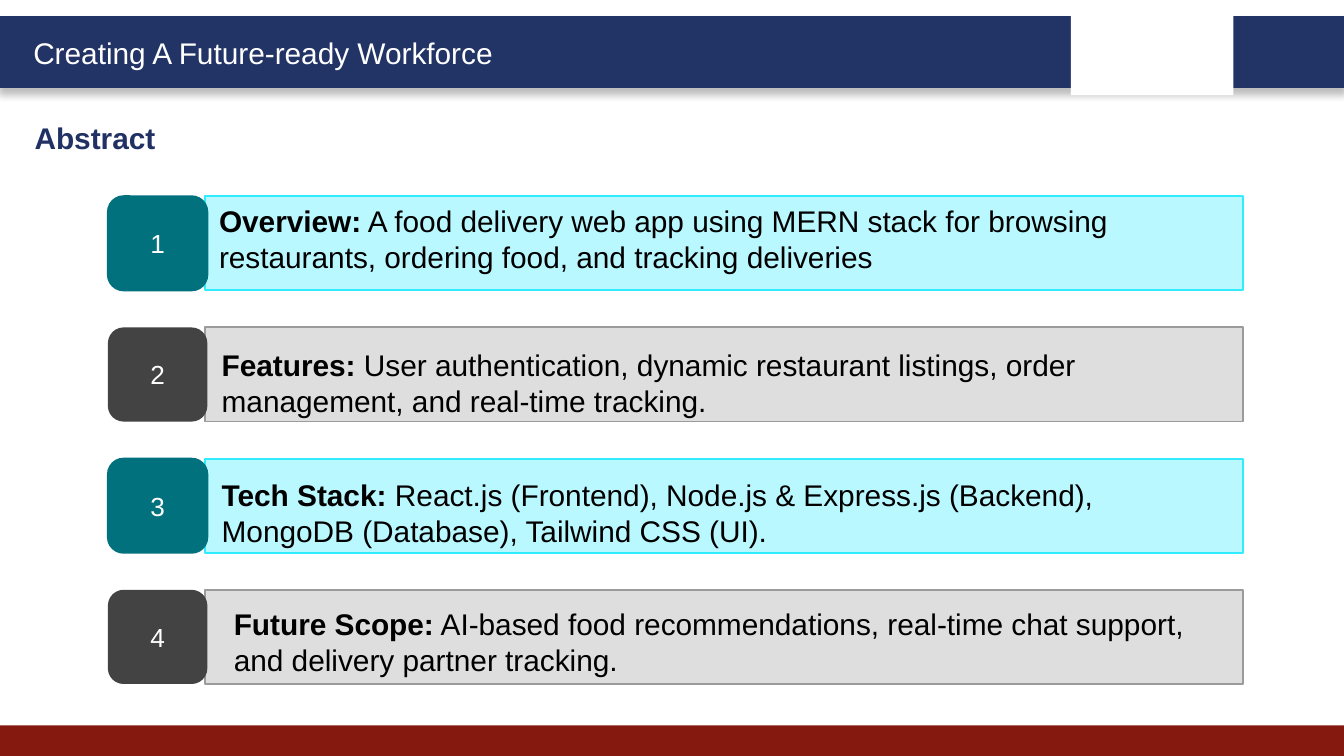
import pptx
import pptx.util
import pptx.dml.color
import pptx.enum.shapes
import pptx.enum.text
import pptx.oxml
import pptx.oxml.ns

Cm, Pt = pptx.util.Cm, pptx.util.Pt
KIND = pptx.enum.shapes.MSO_SHAPE
ALIGN = pptx.enum.text.PP_ALIGN
ANCHOR = pptx.enum.text.MSO_ANCHOR
FIT = pptx.enum.text.MSO_AUTO_SIZE

COLORS = {
    "navy": "223366", "title": "213163", "red": "851910",
    "white": "FFFFFF", "black": "000000",
    "teal": "00717D", "aqua": "BAF8FF", "cyan": "31EBFF",
    "dark": "434343", "light": "DEDEDE", "gray": "9B9B9B",
}
BANNER = "Creating A Future-ready Workforce"
TITLE = "Abstract"
# heading, text, then left, top and width of the text in cm
ROWS = [
    ("Overview:", " A food delivery web app using MERN stack for browsing "
     "restaurants, ordering food, and tracking deliveries", (3.89, 3.71, 19.99)),
    ("Features:", " User authentication, dynamic restaurant listings, order "
     "management, and real-time tracking.", (3.94, 6.43, 19.43)),
    ("Tech Stack:", " React.js (Frontend), Node.js & Express.js (Backend), "
     "MongoDB (Database), Tailwind CSS (UI).", (3.94, 8.88, 18.9)),
    ("Future Scope:", " AI-based food recommendations, real-time chat support, "
     "and delivery partner tracking.", (4.17, 11.33, 18.95)),
]
# bar fill, bar line, badge fill, badge line
THEMES = [("aqua", "cyan", "teal", "teal"), ("light", "gray", "dark", None)]
TOP, STEP, HIGH = 3.71, 2.48, 1.78
WIDE, TALL = 25.4, 14.29


def rgb(name):
    return pptx.dml.color.RGBColor.from_string(COLORS[name])


def add_box(slide, kind, place, fill, line=None, width=1):
    box = slide.shapes.add_shape(kind, *map(Cm, place))
    box.shadow.inherit = False
    box.fill.solid()
    box.fill.fore_color.rgb = rgb(fill)
    if line:
        box.line.color.rgb = rgb(line)
        box.line.width = Pt(width)
    else:
        box.line.fill.background()
    return box


def add_run(para, text, color, size=16, bold=False):
    run = para.add_run()
    run.text = text
    run.font.name = "Arial"
    run.font.size = Pt(size)
    run.font.bold = bold
    run.font.color.rgb = rgb(color)


def add_text(slide, place):
    """Add a wrapping text box and return its first paragraph."""
    frame = slide.shapes.add_textbox(*map(Cm, place)).text_frame
    frame.word_wrap = True
    frame.auto_size = FIT.SHAPE_TO_FIT_TEXT
    return frame.paragraphs[0]


def add_shade(shape):
    """Give the shape a soft shadow straight below it."""
    effects = shape._element.spPr.find(pptx.oxml.ns.qn("a:effectLst"))
    effects.append(pptx.oxml.parse_xml(
        f'<a:outerShdw {pptx.oxml.ns.nsdecls("a")} blurRad="50800" '
        'dist="38100" dir="5400000" algn="t" rotWithShape="0">'
        f'<a:srgbClr val="{COLORS["black"]}"><a:alpha val="25000"/></a:srgbClr>'
        '</a:outerShdw>'))


def add_frame(slide):
    """Add the banner, the footer bar and the title."""
    banner = add_box(slide, KIND.RECTANGLE, (0, 0.33, WIDE, 1.3),
                     "navy", "navy", 2)
    add_shade(banner)
    add_box(slide, KIND.RECTANGLE, (0, 13.71, WIDE, 0.58), "red")
    add_box(slide, KIND.RECTANGLE, (20.24, 0.18, 3.07, 1.62), "white")
    add_run(add_text(slide, (0.38, 0.54, 9.6, 0.94)), BANNER, "white")

    title = slide.shapes.title
    title.left, title.top, title.width, title.height = map(
        Cm, (0.4, 2.14, 12.3, 0.94))
    frame = title.text_frame
    frame.word_wrap = True
    frame.auto_size = FIT.SHAPE_TO_FIT_TEXT
    frame.vertical_anchor = ANCHOR.TOP
    para = frame.paragraphs[0]
    para.alignment = ALIGN.LEFT
    add_run(para, TITLE, "title", bold=True)


def add_row(slide, index, head, body, place):
    fill, line, badge_fill, badge_line = THEMES[index % len(THEMES)]
    top = TOP + index * STEP
    add_box(slide, KIND.RECTANGLE, (3.88, top, 19.61, HIGH), fill, line)
    badge = add_box(slide, KIND.ROUNDED_RECTANGLE, (2.04, top, 1.88, HIGH),
                    badge_fill, badge_line)
    badge.text_frame.vertical_anchor = ANCHOR.MIDDLE
    para = badge.text_frame.paragraphs[0]
    para.alignment = ALIGN.CENTER
    add_run(para, str(index + 1), "white", 14)

    para = add_text(slide, (*place, 1.62))
    add_run(para, head, "black", bold=True)
    add_run(para, body, "black")


def main():
    deck = pptx.Presentation()
    deck.slide_width, deck.slide_height = Cm(WIDE), Cm(TALL)
    slide = deck.slides.add_slide(deck.slide_layouts[5])
    add_frame(slide)
    for index, row in enumerate(ROWS):
        add_row(slide, index, *row)
    deck.save("out.pptx")


if __name__ == "__main__":
    main()
